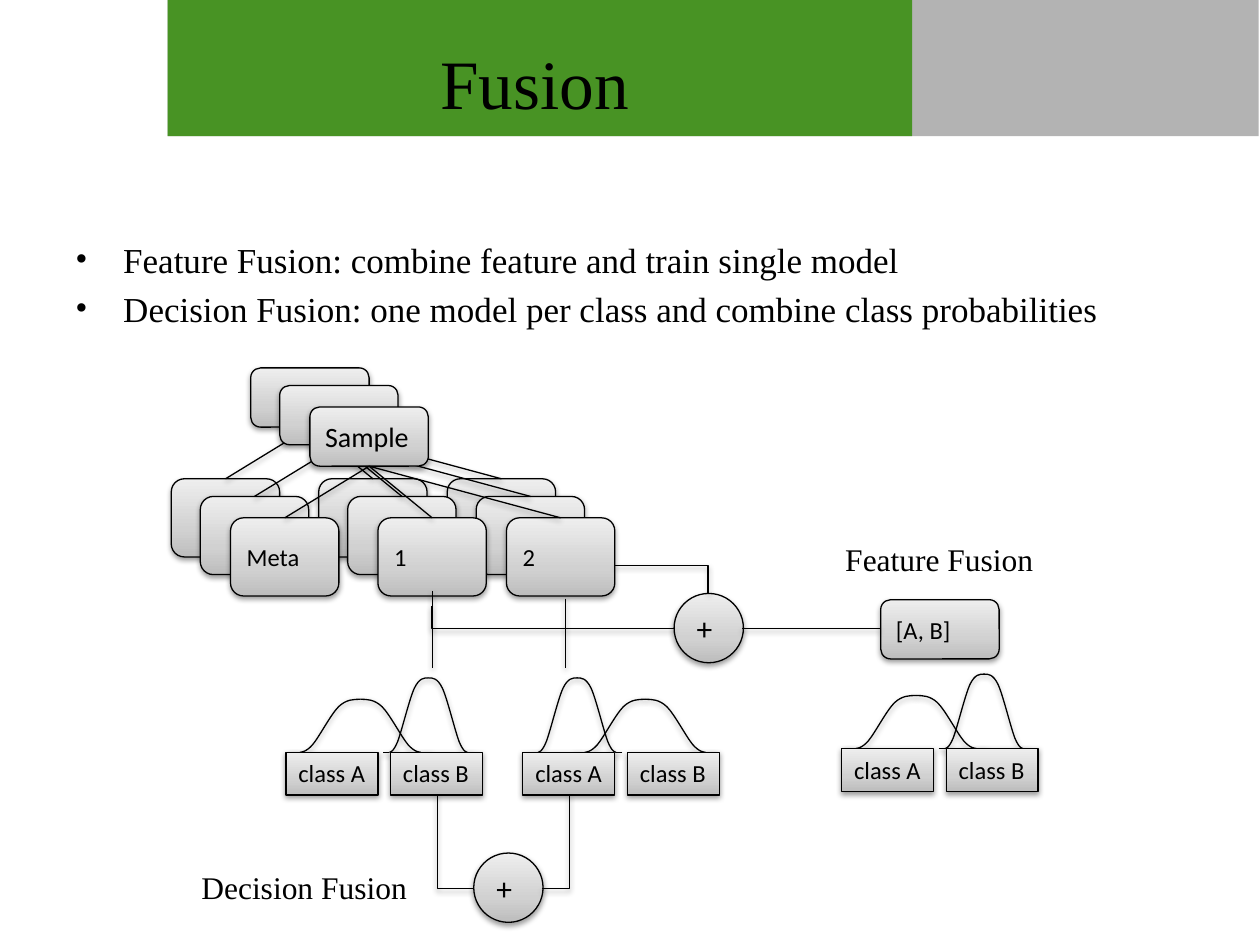
from lxml.etree import SubElement
from pptx import Presentation
from pptx.dml.color import RGBColor
from pptx.enum.shapes import MSO_CONNECTOR as LINK, MSO_SHAPE as SHAPE
from pptx.enum.text import MSO_ANCHOR as ANCHOR, PP_ALIGN as ALIGN
from pptx.oxml import parse_xml
from pptx.oxml.ns import nsdecls, qn
from pptx.util import Pt

PX = 9144
BLACK, GREEN, GREY, WHITE = "000000", "489324", "B3B3B3", "FFFFFF"
SHADES = ((0, "BDBDBD"), (35, "D1D1D1"), (100, "EEEEEE"))
SERIF, SANS = "Times New Roman", "Calibri"
BELL = ((.02, 0), (.1, 0), (.21, .14), (.32, .29), (.51, .71),
        (.64, .86), (.77, 1), (.89, 1), (1, 1))


def px(*lengths):
    """Turn px lengths into EMU."""
    return [round(length * PX) for length in lengths]


def color(value):
    """Turn a hex string into a colour."""
    return RGBColor.from_string(value)


def apply(target, **values):
    """Set each named format value on the target."""
    for name, value in values.items():
        setattr(target, name, value)


def outline(part):
    """Give a part a thin black line and a soft shadow."""
    part.line.color.rgb = color(BLACK)
    part.line.width = Pt(0.75)
    effects = SubElement(part._element.spPr, qn("a:effectLst"))
    effects.append(parse_xml(
        f'<a:outerShdw {nsdecls("a")} blurRad="40000" dist="20000" dir="5400000" rotWithShape="0">'
        f'<a:srgbClr val="{BLACK}"><a:alpha val="38000"/></a:srgbClr></a:outerShdw>'))


def write(frame, text, size, face, align=ALIGN.LEFT, **layout):
    """Write paragraphs of one format into a text frame."""
    apply(frame, **layout)
    for index, words in enumerate(text.split("\n")):
        paragraph = frame.add_paragraph() if index else frame.paragraphs[0]
        paragraph.alignment = align
        run = paragraph.add_run()
        run.text = words
        apply(run.font, size=Pt(size), name=face)
        run.font.color.rgb = color(BLACK)


def caption(shapes, box, text, size, **layout):
    """Place a serif text box."""
    frame = shapes.add_textbox(*px(*box)).text_frame
    write(frame, text, size, SERIF, **layout)
    return frame


def panel(shapes, box, shade):
    """Place a plain rectangle without a line."""
    block = shapes.add_shape(SHAPE.RECTANGLE, *px(*box))
    block.shadow.inherit = False
    block.fill.solid()
    block.fill.fore_color.rgb = color(shade)
    block.line.fill.background()


def node(shapes, kind, box, text="", size=14, **layout):
    """Place a shaded shape with a label."""
    shape = shapes.add_shape(kind, *px(*box))
    stops = "".join(f'<a:gs pos="{at * 1000}"><a:srgbClr val="{shade}"/></a:gs>'
                    for at, shade in SHADES)
    shape._element.spPr.insert(2, parse_xml(
        f'<a:gradFill {nsdecls("a")} rotWithShape="1"><a:gsLst>{stops}</a:gsLst>'
        '<a:lin ang="16200000" scaled="0"/></a:gradFill>'))
    outline(shape)
    if text:
        write(shape.text_frame, text, size, SANS,
              **{"vertical_anchor": ANCHOR.MIDDLE, "word_wrap": True, **layout})


def link(shapes, *ends):
    """Draw a straight line between two points."""
    outline(shapes.add_connector(LINK.STRAIGHT, *px(*ends)))


def elbow(shapes, *ends):
    """Draw a line that runs across first and then up or down."""
    bend = shapes.add_connector(LINK.ELBOW, *px(*ends))
    bend._element.spPr.find(qn("a:prstGeom")).set("prst", "bentConnector2")
    outline(bend)


def smooth_path(curve):
    """Turn every three straight segments of a freeform into one cubic curve."""
    segments = list(curve._element.iter(qn("a:lnTo")))
    for start in range(0, len(segments), 3):
        first = segments[start]
        cubic = first.makeelement(qn("a:cubicBezTo"))
        first.addprevious(cubic)
        for segment in segments[start:start + 3]:
            cubic.append(segment[0])
            segment.getparent().remove(segment)


def bell(shapes, apex, base, half, height, tail):
    """Draw a bell curve as two halves with flat tails."""
    for side in (-1, 1):
        foot = apex + side * half
        pen = shapes.build_freeform(*px(foot, base), scale=1.0)
        pen.add_line_segments([px(foot - side * half * x, base - height * y)
                               for x, y in BELL], close=False)
        curve = pen.convert_to_shape()
        smooth_path(curve)
        curve.fill.background()
        outline(curve)
        link(shapes, foot + side * tail, base, foot, base)


def class_plot(slide, left, top, mirrored=False):
    """Draw the two class distributions over their labels."""
    shapes = slide.shapes.add_group_shape().shapes
    width, base = 156, top + 59
    for offset, half, height, tail in ((113, 31, 59, 5), (59, 48, 42, 9)):
        bell(shapes, left + (width - offset if mirrored else offset), base, half, height, tail)
    for offset, label in ((0, "class A"), (83, "class B")):
        node(shapes, SHAPE.RECTANGLE, (left + offset, base, 73, 34), label,
             vertical_anchor=ANCHOR.TOP, word_wrap=False)


def sample_layer(slide, left, top, labels):
    """Draw a sample with its three feature boxes."""
    sample, *features = labels
    shapes = slide.shapes
    node(shapes, SHAPE.ROUNDED_RECTANGLE, (left, top, 94, 47), sample, 16)
    for offset, label in zip((-63, 54, 156), features):
        x, y = left + offset, top + 88
        node(shapes, SHAPE.ROUNDED_RECTANGLE, (x, y, 86, 62), label)
        link(shapes, left + 47, top + 47, x + 43, y)


def header(slide, left, top, width, height):
    """Draw the title band."""
    for span, shade in ((width, GREY), (591, GREEN)):
        panel(slide.shapes, (left, top, span, height), shade)
    caption(slide.shapes, (left, top + 30, 583, 70), "Fusion", 39.6,
            align=ALIGN.CENTER, vertical_anchor=ANCHOR.MIDDLE, word_wrap=True)


def summary(slide, *box):
    """Write the bulleted definitions."""
    frame = caption(slide.shapes, box,
                    "Feature Fusion: combine feature and train single model\n"
                    "Decision Fusion: one model per class and combine class probabilities",
                    20, word_wrap=True)
    for index, paragraph in enumerate(frame.paragraphs):
        properties = paragraph._p.get_or_add_pPr()
        indent = px(38)[0]
        properties.set("marL", str(indent))
        properties.set("indent", str(-indent))
        SubElement(properties, qn("a:buFont")).set("typeface", SERIF)
        SubElement(properties, qn("a:buChar")).set("char", "•")
        paragraph.space_before = Pt(4 * index)


def feature_fusion(slide, left, top):
    """Draw the branch that joins features before one model."""
    shapes = slide.shapes
    caption(shapes, (left + 173, top, 171, 40), "Feature Fusion", 18, word_wrap=False)
    node(shapes, SHAPE.ROUNDED_RECTANGLE, (left + 211, top + 52, 94, 47), "[A, B]")
    node(shapes, SHAPE.OVAL, (left + 47, top + 47, 55, 55), "+", 18)
    elbow(shapes, left + 47, top + 75, left - 145, top + 57)
    elbow(shapes, left, top + 25, left + 74, top + 47)
    link(shapes, left + 101, top + 75, left + 211, top + 75)
    class_plot(slide, left + 180, top + 111)


def decision_fusion(slide, left, top):
    """Draw the branch that joins the class probabilities of two models."""
    shapes = slide.shapes
    caption(shapes, (left, top + 215, 185, 40), "Decision Fusion", 18, word_wrap=False)
    class_plot(slide, left + 77, top + 69)
    class_plot(slide, left + 265, top + 69, mirrored=True)
    for x, start in ((193, 0), (299, 6)):
        link(shapes, left + x, top + start, left + x, top + 61)
    node(shapes, SHAPE.OVAL, (left + 226, top + 208, 55, 55), "+", 18)
    for side, stem in ((226, 197), (280, 302)):
        elbow(shapes, left + side, top + 236, left + stem, top + 161)


def main():
    """Build the slide and save it."""
    deck = Presentation()
    deck.slide_width, deck.slide_height = px(1000, 750)
    slide = deck.slides.add_slide(deck.slide_layouts[6])
    header(slide, 133, 0, 866, 108)
    panel(slide.shapes, (333, 667, 367, 67), WHITE)
    summary(slide, 50, 184, 900, 458)
    for left, top, labels in ((199, 292, [""] * 4), (222, 306, [""] * 4),
                              (246, 323, ["Sample", "Meta", "1", "2"])):
        sample_layer(slide, left, top, labels)
    feature_fusion(slide, 488, 424)
    decision_fusion(slide, 150, 469)
    deck.save("out.pptx")


if __name__ == "__main__":
    main()
